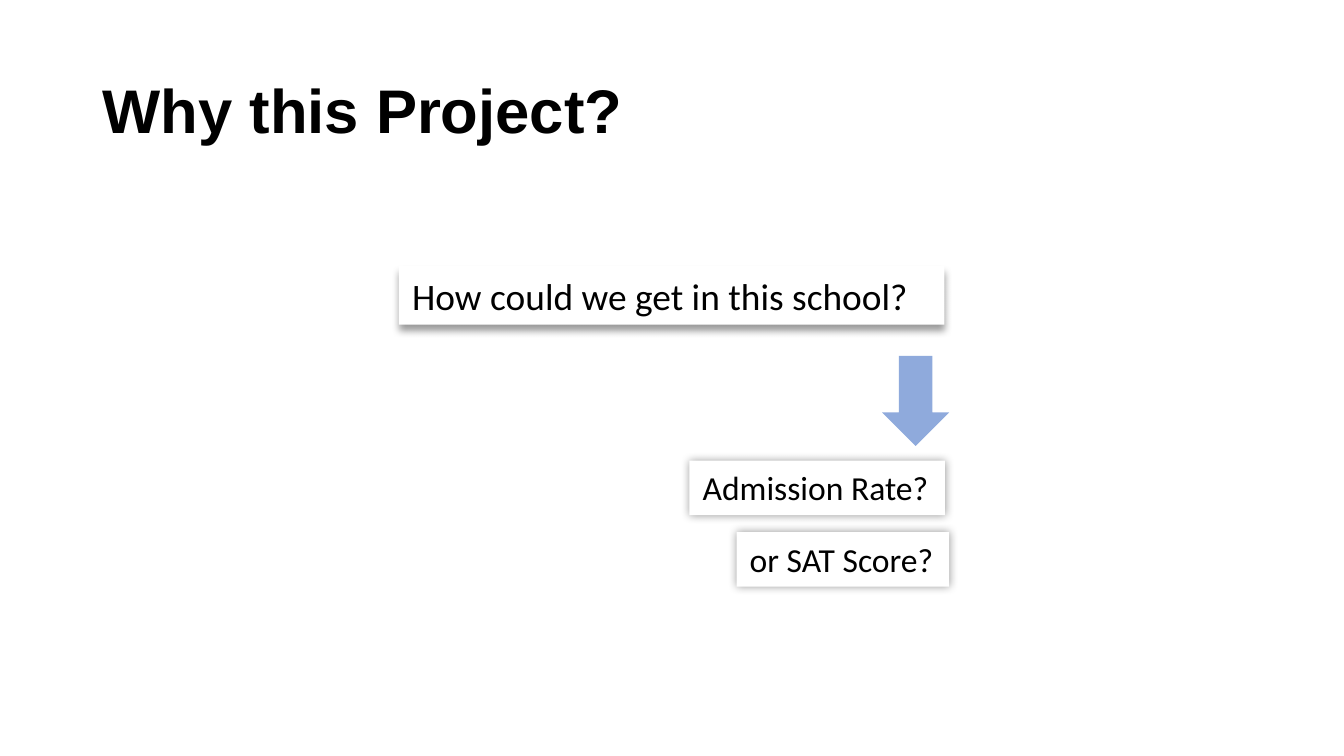
from lxml import etree
from pptx import Presentation
from pptx.dml.color import RGBColor
from pptx.enum.shapes import MSO_SHAPE
from pptx.enum.text import MSO_ANCHOR, MSO_AUTO_SIZE
from pptx.oxml.ns import qn
from pptx.util import Cm, Pt

DOWN_ARROW = MSO_SHAPE.DOWN_ARROW
MIDDLE = MSO_ANCHOR.MIDDLE
FIT_SHAPE = MSO_AUTO_SIZE.SHAPE_TO_FIT_TEXT

BLACK = RGBColor(0x00, 0x00, 0x00)
WHITE = RGBColor(0xFF, 0xFF, 0xFF)
BLUE = RGBColor(0x8F, 0xAA, 0xDC)


def add_text(shape, text, font_name, size):
    paragraph = shape.text_frame.paragraphs[0]
    run = paragraph.add_run()
    run.text = text
    run.font.name = font_name
    run.font.size = Pt(size)
    run.font.color.rgb = BLACK
    return paragraph


def add_shadow(shape, blur, distance, degrees):
    """Give the shape a black outer shadow at 40 % opacity; lengths in points."""
    shape.shadow.inherit = False
    effects = shape._element.spPr.find(qn("a:effectLst"))
    shadow = etree.SubElement(
        effects, qn("a:outerShdw"), blurRad=str(Pt(blur)), dist=str(Pt(distance)),
        dir=str(degrees * 60000), algn="ctr", rotWithShape="0")
    color = etree.SubElement(shadow, qn("a:srgbClr"), val=str(BLACK))
    etree.SubElement(color, qn("a:alpha"), val="40000")


presentation = Presentation()
presentation.slide_width = Cm(25.4)
presentation.slide_height = Cm(14.29)
slide = presentation.slides.add_slide(presentation.slide_layouts[6])

# Title
title = slide.shapes.add_textbox(Cm(1.75), Cm(0.76), Cm(21.9), Cm(2.77))
title.text_frame.word_wrap = True
title.text_frame.vertical_anchor = MIDDLE
title.text_frame.margin_left = title.text_frame.margin_right = Cm(0.19)
title_paragraph = add_text(title, "Why this Project?", "Arial", 33)
title_paragraph.line_spacing = 0.9
title_paragraph.runs[0].font.bold = True

# Question cards: text, size, left, top, width, height, shadow
cards = [
    ("How could we get in this school?", 20, 7.54, 5.03, 10.31, 1.11, (4, 3, 90)),
    ("Admission Rate?", 18, 13.03, 8.71, 4.83, 1.03, (5, 0, 0)),
    ("or SAT Score?", 18, 13.92, 10.06, 4.02, 1.03, (5, 0, 0)),
]
for text, size, left, top, width, height, shadow in cards:
    card = slide.shapes.add_textbox(Cm(left), Cm(top), Cm(width), Cm(height))
    card.fill.solid()
    card.fill.fore_color.rgb = WHITE
    card.text_frame.word_wrap = False
    card.text_frame.auto_size = FIT_SHAPE
    add_text(card, text, "Calibri", size)
    add_shadow(card, *shadow)

# Arrow from the question to its possible answers
arrow = slide.shapes.add_shape(DOWN_ARROW, Cm(16.67), Cm(6.73), Cm(1.27), Cm(1.7))
arrow.shadow.inherit = False
arrow.fill.solid()
arrow.fill.fore_color.rgb = BLUE
arrow.line.fill.background()

presentation.save("out.pptx")
